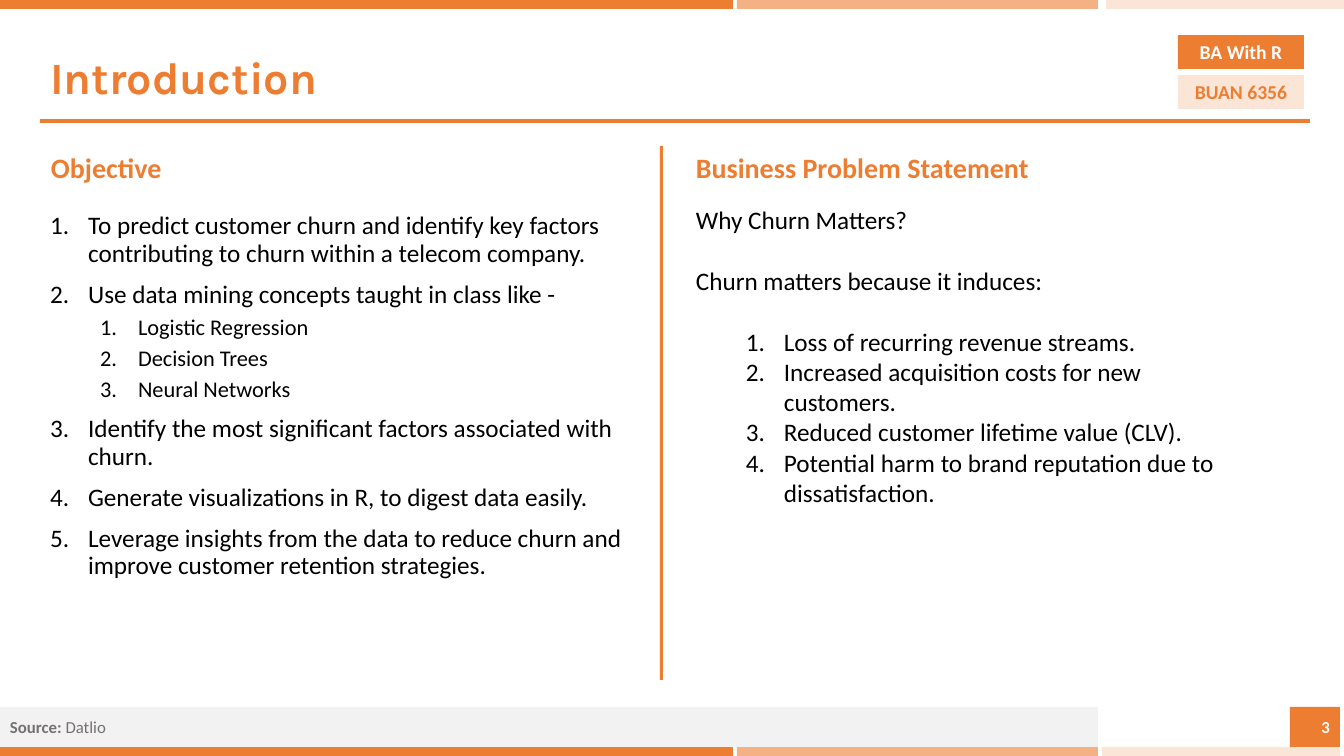
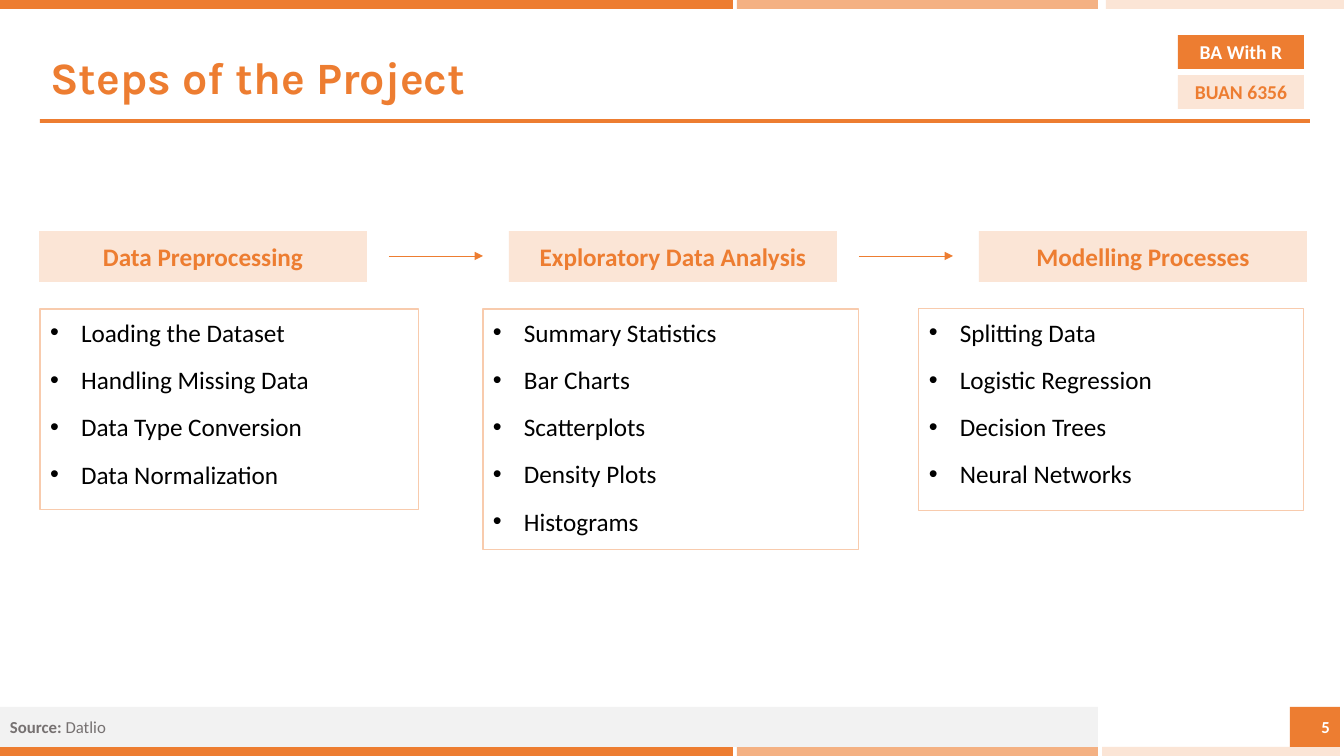
from lxml import etree
from pptx import Presentation, util as u
from pptx.dml.color import RGBColor
from pptx.enum import shapes, text
from pptx.oxml.ns import qn

SCALE = 914400 / 100.8
WIDE, HIGH = 1344, 756
ORANGE, PEACH, CREAM, EDGE = "ED7D31", "F4B183", "FBE5D6", "F8CBAD"
GREY, ASH, BLACK, WHITE = "F2F2F2", "767171", "000000", "FFFFFF"
LEFT, CENTER, RIGHT, FULL = (text.PP_ALIGN.LEFT, text.PP_ALIGN.CENTER,
                             text.PP_ALIGN.RIGHT, text.PP_ALIGN.JUSTIFY)
TOP, MIDDLE = text.MSO_ANCHOR.TOP, text.MSO_ANCHOR.MIDDLE


def px(n):
    return u.Emu(round(n * SCALE))


def rgb(code):
    return RGBColor.from_string(code)


def sub(node, tag, **attrs):
    """Append a drawing element such as a:tailEnd."""
    return etree.SubElement(node, qn(tag), attrs)


class Deck:
    """Holds the shared style and the slide being built."""

    def __init__(self):
        self.prs = Presentation()
        self.prs.slide_width, self.prs.slide_height = px(WIDE), px(HIGH)
        self.slide = None

    def start(self, title, number):
        """Add a slide with its title, bands, badges and footer."""
        self.slide = self.prs.slides.add_slide(self.prs.slide_layouts[1])
        head = self.place(self.slide.shapes.title, 40, 40, 1265, 79)
        self.setup(head.text_frame, MIDDLE)
        para = self.para(head.text_frame, [(title, True)], 32, ORANGE, font="Karla")
        para.line_spacing = 0.9

        for top, last in ((0, 1106), (747, 1102)):
            for x, w, fill in ((0, 733, ORANGE), (737, 361, PEACH), (last, 238, CREAM)):
                self.box(x, top, w, 9, fill)
        self.box(40, 119, 1270, 4, ORANGE)

        foot = self.box(0, 707, 1098, 40, GREY)
        self.para(foot.text_frame, [("Source: ", True), ("Datlio", False)], 12, ASH)
        page = self.box(1290, 707, 50, 40, ORANGE)
        self.para(page.text_frame, [(number, True)], 12, WHITE, RIGHT)
        self.label("BA With R", 1178, 35, 126, 34, ORANGE, WHITE, 14)
        self.label("BUAN 6356", 1178, 75, 126, 34, CREAM, ORANGE, 14)

    def place(self, shape, x, y, w, h):
        shape.left, shape.top, shape.width, shape.height = map(px, (x, y, w, h))
        return shape

    def setup(self, frame, anchor=TOP):
        frame.word_wrap = True
        frame.auto_size = text.MSO_AUTO_SIZE.NONE
        frame.vertical_anchor = anchor

    def para(self, frame, runs, size, hue, align=LEFT, font="Calibri", before=0):
        """Write (words, bold) runs as the next paragraph of a frame."""
        para = frame.paragraphs[0]
        if para.runs:
            para = frame.add_paragraph()
        para.alignment = align
        para.space_before = u.Pt(before)
        for words, bold in runs:
            run = para.add_run()
            run.text = words
            run.font.name, run.font.size, run.font.bold = font, u.Pt(size), bold
            run.font.color.rgb = rgb(hue)
        return para

    def mark(self, para, indent, hang, bullet=None):
        """Give a paragraph a hanging bullet, or a number if none is named."""
        props = para._p.get_or_add_pPr()
        props.set("marL", str(px(indent)))
        props.set("indent", str(-px(hang)))
        if bullet:
            sub(props, "a:buFont", typeface="Arial")
            sub(props, "a:buChar", char=bullet)
        else:
            sub(props, "a:buFont", typeface="+mj-lt")
            sub(props, "a:buAutoNum", type="arabicPeriod")

    def box(self, x, y, w, h, fill=None, line=None):
        shape = self.slide.shapes.add_shape(
            shapes.MSO_SHAPE.RECTANGLE, *map(px, (x, y, w, h)))
        shape.shadow.inherit = False
        self.paint(shape, fill, line)
        self.setup(shape.text_frame, MIDDLE)
        return shape

    def paint(self, shape, fill=None, line=None):
        if fill:
            shape.fill.solid()
            shape.fill.fore_color.rgb = rgb(fill)
        else:
            shape.fill.background()
        if line:
            shape.line.color.rgb = rgb(line)
            shape.line.width = u.Pt(0.75)
        else:
            shape.line.fill.background()

    def label(self, words, x, y, w, h, fill, hue, size):
        shape = self.box(x, y, w, h, fill)
        self.para(shape.text_frame, [(words, True)], size, hue, CENTER)

    def note(self, x, y, w, h):
        """Add an empty text box and return its frame."""
        frame = self.slide.shapes.add_textbox(*map(px, (x, y, w, h))).text_frame
        self.setup(frame)
        return frame

    def heading(self, words, x):
        self.para(self.note(x, 146, 553, 44), [(words, True)], 20, ORANGE)

    def body(self, x, y, w, h):
        """Move the body placeholder and return it."""
        shape = self.place(self.slide.placeholders[1], x, y, w, h)
        self.setup(shape.text_frame)
        return shape

    def outline(self, frame, items):
        """Write (level, words) items as a numbered list in two levels."""
        for level, words in items:
            size, before, indent = ((18, 10, 38), (16, 5, 88))[level]
            para = self.para(frame, [(words, False)], size, BLACK, before=before)
            para.level, para.line_spacing = level, 0.9
            self.mark(para, indent, 38)

    def bullets(self, shape, items):
        self.paint(shape, line=EDGE)
        self.setup(shape.text_frame)
        for words in items:
            para = self.para(shape.text_frame, [(words, False)], 18, BLACK, FULL, before=10)
            para.line_spacing = 1.1
            self.mark(para, 31, 31, "•")

    def arrow(self, x, y, w):
        line = self.slide.shapes.add_connector(
            shapes.MSO_CONNECTOR.STRAIGHT, *map(px, (x, y, x + w, y)))
        line.line.color.rgb = rgb(ORANGE)
        line.line.width = u.Pt(0.5)
        props = line._element.spPr
        sub(props.find(qn("a:ln")), "a:tailEnd", type="triangle")
        sub(props, "a:effectLst")


def intro(deck):
    deck.start("Introduction", "3")
    deck.heading("Objective", 41)
    deck.outline(deck.body(40, 208, 617, 481).text_frame, [
        (0, "To predict customer churn and identify key factors contributing "
            "to churn within a telecom company."),
        (0, "Use data mining concepts taught in class like -"),
        (1, "Logistic Regression"),
        (1, "Decision Trees"),
        (1, "Neural Networks"),
        (0, "Identify the most significant factors associated with churn."),
        (0, "Generate visualizations in R, to digest data easily."),
        (0, "Leverage insights from the data to reduce churn and improve "
            "customer retention strategies."),
    ])
    deck.box(660, 146, 3, 534, ORANGE)

    deck.heading("Business Problem Statement", 686)
    frame, gap = deck.note(686, 199, 553, 468), 22
    deck.para(frame, [("Why Churn Matters?", False)], 18, BLACK)
    deck.para(frame, [("Churn matters because it induces:", False)], 18, BLACK, before=gap)
    harms = ["Loss of recurring revenue streams.",
             "Increased acquisition costs for new customers.",
             "Reduced customer lifetime value (CLV).",
             "Potential harm to brand reputation due to dissatisfaction."]
    for i, words in enumerate(harms):
        para = deck.para(frame, [(words, False)], 18, BLACK, before=0 if i else gap)
        para.level = 1
        deck.mark(para, 88, 38)


def steps(deck):
    deck.start("Steps of the Project", "5")
    stages = [
        ("Data Preprocessing", (40, 309, 379, 201),
         ["Loading the Dataset", "Handling Missing Data",
          "Data Type Conversion", "Data Normalization"]),
        ("Exploratory Data Analysis", (483, 309, 376, 241),
         ["Summary Statistics", "Bar Charts", "Scatterplots",
          "Density Plots", "Histograms"]),
        ("Modelling Processes", (919, 309, 385, 202),
         ["Splitting Data", "Logistic Regression",
          "Decision Trees", "Neural Networks"]),
    ]
    for i, (name, area, items) in enumerate(stages):
        x = 39 + 470 * i
        deck.label(name, x, 231, 328, 51, CREAM, ORANGE, 18)
        if i:
            deck.arrow(x - 120, 256, 94)
            shape = deck.box(*area)
        else:
            shape = deck.body(*area)
        deck.bullets(shape, items)


def main():
    deck = Deck()
    intro(deck)
    steps(deck)
    deck.prs.save("out.pptx")


if __name__ == "__main__":
    main()
